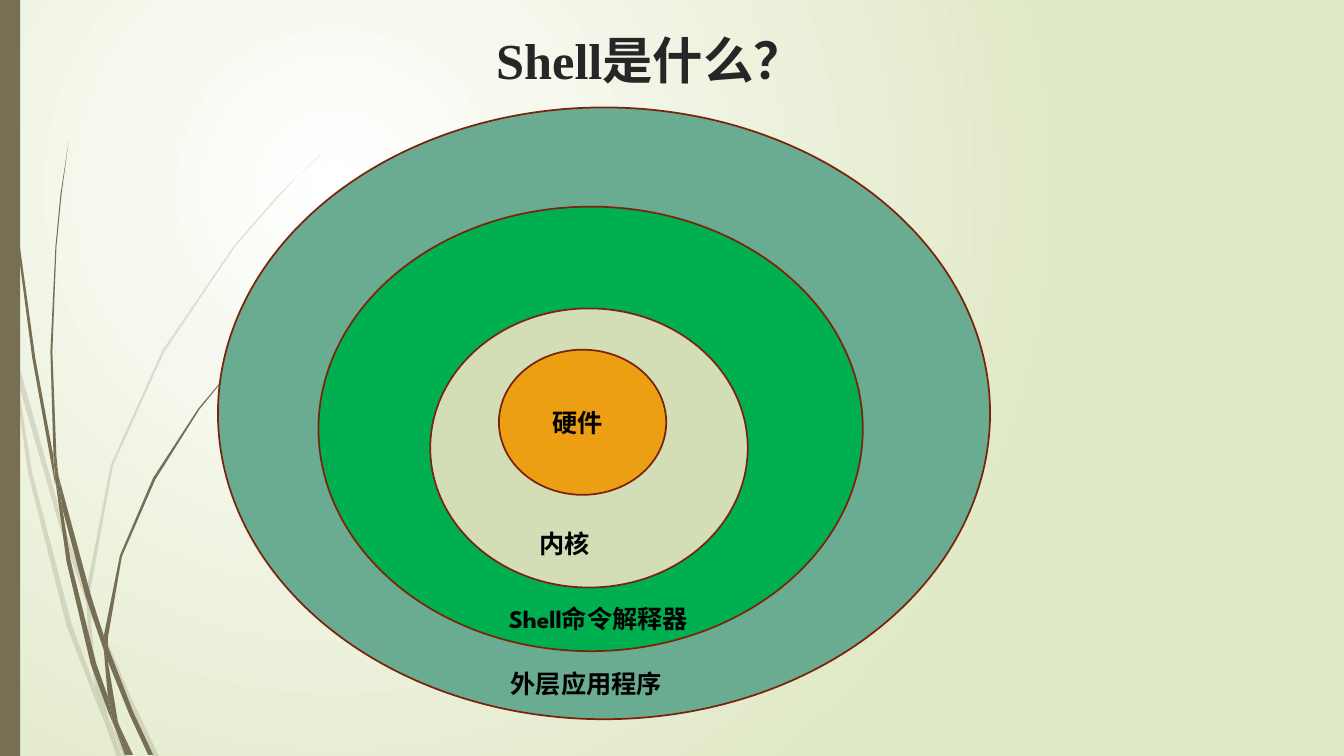
import dataclasses

import lxml.etree
import pptx
import pptx.dml.color
import pptx.enum.lang
import pptx.enum.shapes
import pptx.enum.text
import pptx.oxml.ns
import pptx.util

Pt = pptx.util.Pt
qn = pptx.oxml.ns.qn
SHAPE = pptx.enum.shapes.MSO_SHAPE
PP_ALIGN = pptx.enum.text.PP_ALIGN
ANCHOR = pptx.enum.text.MSO_ANCHOR

COLORS = {
    "white": "FFFFFF",
    "pale": "DFE8C4",
    "grass": "766F54",
    "title": "262626",
    "text": "000000",
    "outline": "7A240C",
    "applications": "6AAC91",
    "shell": "00B050",
    "kernel": "D4DEB6",
    "hardware": "ED9F13",
}
GRASS_UNIT = Pt(0.72)  # the blade outlines sit on this grid

# Grass blades: the corners of each outline, in grid units
FADED_BLADES = [
    [(11, 350), (9, 322), (0, 282), (0, 299), (10, 344)],
    [(59, 522), (86, 599), (86, 586), (63, 520), (14, 345), (17, 376)],
    [(94, 607), (90, 596), (90, 610), (125, 694), (153, 751), (158, 751),
     (130, 692)],
    [(122, 751), (126, 751), (107, 711)],
    [(95, 683), (71, 619), (32, 469), (17, 376), (11, 350), (28, 470),
     (66, 621), (94, 693), (103, 714), (101, 707)],
    [(86, 599), (88, 646), (95, 683), (98, 692), (107, 711), (106, 706),
     (93, 646), (90, 610), (89, 608)],
    [(90, 584), (112, 462), (163, 349), (233, 245), (274, 198), (295, 175),
     (318, 154), (318, 153), (295, 175), (273, 197), (232, 244), (161, 348),
     (110, 461), (86, 584), (86, 586), (90, 596)],
    [(103, 714), (116, 751), (121, 751)],
    [(89, 608), (90, 610), (90, 596), (86, 586), (86, 599)],
    [(98, 692), (95, 683), (101, 707), (103, 714), (121, 751), (107, 711)],
]
SOLID_BLADES = [
    [(7, 110), (16, 233), (32, 355), (54, 477), (55, 481), (53, 457),
     (53, 453), (35, 355), (18, 232), (8, 109), (5, 48), (3, 0), (3, 48)],
    [(85, 592), (103, 645), (103, 633), (103, 631), (90, 590), (58, 472),
     (62, 505)],
    [(110, 649), (107, 641), (107, 656), (128, 708), (147, 749), (152, 749),
     (132, 706)],
    [(107, 691), (95, 657), (70, 556), (62, 505), (55, 477), (66, 557),
     (90, 659), (108, 708), (114, 722), (112, 717)],
    [(58, 472), (56, 453), (52, 349), (56, 245), (61, 193), (68, 141),
     (60, 193), (55, 245), (50, 349), (53, 449)],
    [(129, 749), (132, 749), (118, 719)],
    [(55, 477), (62, 505), (58, 472), (53, 449), (53, 453)],
    [(107, 633), (121, 552), (154, 476), (198, 406), (224, 374), (238, 359),
     (253, 344), (252, 344), (238, 358), (224, 373), (197, 405), (152, 474),
     (119, 551), (103, 631), (107, 641)],
    [(114, 722), (124, 749), (127, 749)],
    [(103, 645), (107, 691), (112, 706), (118, 719), (117, 716), (107, 656),
     (105, 651)],
    [(103, 645), (105, 651), (107, 656), (107, 641), (103, 631), (103, 633)],
    [(112, 706), (107, 691), (112, 717), (114, 722), (127, 749), (129, 749),
     (118, 719)],
]


@dataclasses.dataclass
class Ring:
    color: str
    left: float
    top: float
    width: float
    height: float


@dataclasses.dataclass
class Label:
    text: str
    left: float
    top: float
    width: float


RINGS = [
    Ring("applications", 155.7, 76.75, 551.5, 437),
    Ring("shell", 227.5, 147.6, 388.8, 317.5),
    Ring("kernel", 307.3, 220.3, 226.8, 199.4),
    Ring("hardware", 356.4, 249.8, 119.5, 103.7),
]
LABELS = [
    Label("硬件", 387.4, 287.3, 79.9),
    Label("内核", 378, 373.7, 59.8),
    Label("Shell命令解释器", 356.4, 427.7, 177.8),
    Label("外层应用程序", 357.8, 473.8, 177.8),
]


def rgb(name: str) -> pptx.dml.color.RGBColor:
    return pptx.dml.color.RGBColor.from_string(COLORS[name])


def put_text(tf, text: str, *, font: str, size: float, color: str,
             align=PP_ALIGN.LEFT, bold: bool = True) -> None:
    tf.word_wrap = True
    tf.vertical_anchor = ANCHOR.TOP
    p = tf.paragraphs[0]
    p.alignment = align
    r = p.add_run()
    r.text = text
    r.font.name = font
    r.font.size = Pt(size)
    r.font.bold = bold
    r.font.color.rgb = rgb(color)
    r.font.language_id = pptx.enum.lang.MSO_LANGUAGE_ID.SIMPLIFIED_CHINESE


def paint(sp, color: str, outline: str = "") -> None:
    sp.shadow.inherit = False
    sp.fill.solid()
    sp.fill.fore_color.rgb = rgb(color)
    if outline:
        sp.line.color.rgb = rgb(outline)
        sp.line.width = Pt(1.25)
    else:
        sp.line.fill.background()


def draw_background(s) -> None:
    fill = s.background.fill
    fill.gradient()
    for stop, position, color in zip(fill.gradient_stops, (0, 1), ("white", "pale")):
        stop.position = position
        stop.color.rgb = rgb(color)
    gradient = s.element.find(".//" + qn("a:gradFill"))
    gradient.remove(gradient.find(qn("a:lin")))
    circle = lxml.etree.SubElement(gradient, qn("a:path"), path="circle")
    lxml.etree.SubElement(circle, qn("a:fillToRect"),
                          l="50000", t="50000", r="100000", b="100000")


def draw_grass(s, blades: list, opacity: int = 100) -> None:
    group = s.shapes.add_group_shape()
    for first, *rest in blades:
        builder = group.shapes.build_freeform(*first, scale=GRASS_UNIT)
        builder.add_line_segments(rest, close=True)
        sp = builder.convert_to_shape()
        paint(sp, "grass")
        if opacity < 100:
            color = sp.element.find(".//" + qn("a:srgbClr"))
            lxml.etree.SubElement(color, qn("a:alpha"), val=str(opacity * 1000))


def draw_ring(s, ring: Ring) -> None:
    sp = s.shapes.add_shape(SHAPE.OVAL, Pt(ring.left), Pt(ring.top),
                            Pt(ring.width), Pt(ring.height))
    paint(sp, ring.color, "outline")


def draw_label(s, label: Label) -> None:
    sp = s.shapes.add_textbox(Pt(label.left), Pt(label.top), Pt(label.width), Pt(29))
    put_text(sp.text_frame, label.text, font="League Spartan", size=18, color="text")
    sp.text_frame.auto_size = pptx.enum.text.MSO_AUTO_SIZE.SHAPE_TO_FIT_TEXT


def main() -> None:
    prs = pptx.Presentation()
    prs.slide_width, prs.slide_height = Pt(960), Pt(540)
    s = prs.slides.add_slide(prs.slide_layouts[5])

    # Backdrop
    draw_background(s)
    draw_grass(s, FADED_BLADES, opacity=20)
    draw_grass(s, SOLID_BLADES)
    bar = s.shapes.add_shape(SHAPE.RECTANGLE, 0, 0, Pt(14.4), prs.slide_height)
    paint(bar, "grass")

    # Title, in front of the backdrop
    title = s.shapes.title
    title.element.getparent().append(title.element)
    title.left, title.top = Pt(234.7), Pt(17.3)
    title.width, title.height = Pt(459.4), Pt(61.2)
    put_text(title.text_frame, "Shell是什么？", font="Times New Roman", size=36,
             color="title", align=PP_ALIGN.CENTER)

    # System layers, outermost first
    for ring in RINGS:
        draw_ring(s, ring)
    for label in LABELS:
        draw_label(s, label)

    prs.save("out.pptx")


if __name__ == "__main__":
    main()
